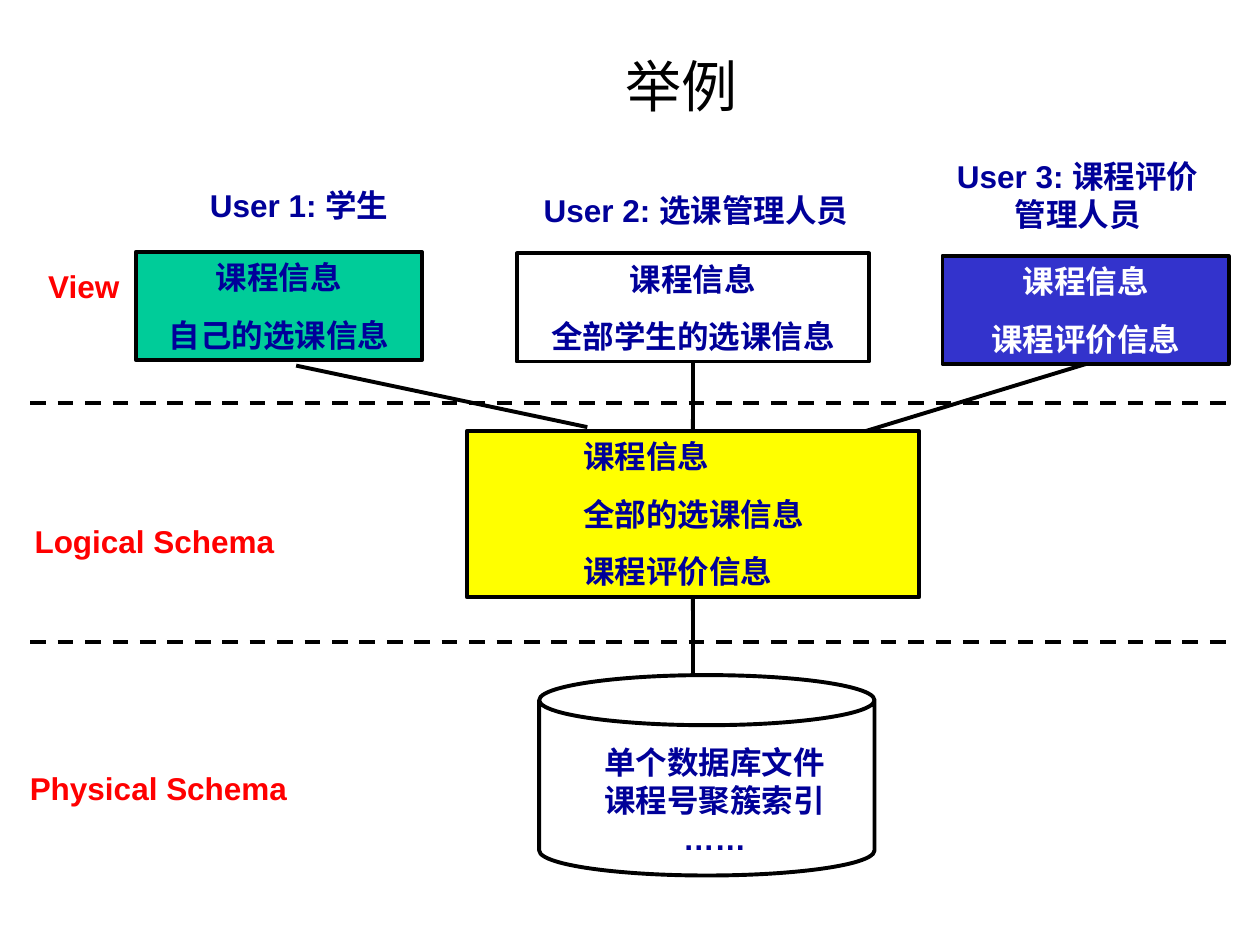
import pptx
import pptx.dml.color
import pptx.enum.dml
import pptx.enum.shapes
import pptx.enum.text
import pptx.oxml.ns
import pptx.util
from lxml import etree

Cm = pptx.util.Cm
Pt = pptx.util.Pt
ALIGN = pptx.enum.text.PP_ALIGN
ANCHOR = pptx.enum.text.MSO_ANCHOR
AUTO_SIZE = pptx.enum.text.MSO_AUTO_SIZE
SHAPE = pptx.enum.shapes.MSO_SHAPE

COLORS = {
    "ink": "000000",
    "navy": "000099",
    "red": "FF0000",
    "white": "FFFFFF",
    "green": "00CC99",
    "blue": "3333CC",
    "yellow": "FFFF00",
}
TOP, LEFT, BOTTOM, RIGHT = range(4)
LINE_WIDTH = Pt(2.25)
VIEW_HEIGHT = 2.18
LABEL_HEIGHT = 1.02


def rgb(color):
    return pptx.dml.color.RGBColor.from_string(COLORS[color])


def write(frame, lines, color="navy", size=18, font="Arial", bold=True,
          align=ALIGN.CENTER, gap=0, indent=0, wrap=True,
          anchor=ANCHOR.TOP, fit=AUTO_SIZE.SHAPE_TO_FIT_TEXT):
    frame_format = {"word_wrap": wrap, "vertical_anchor": anchor, "auto_size": fit}
    for name, value in frame_format.items():
        setattr(frame, name, value)
    font_format = {"name": font, "size": Pt(size), "bold": bold}
    for index, line in enumerate(lines):
        paragraph = frame.paragraphs[0] if index == 0 else frame.add_paragraph()
        paragraph.alignment = align
        if index and gap:
            paragraph.space_before = Pt(gap)
        if indent:
            paragraph._p.get_or_add_pPr().set("marL", str(Cm(indent)))
        run = paragraph.add_run()
        run.text = line
        for name, value in font_format.items():
            setattr(run.font, name, value)
        run.font.color.rgb = rgb(color)


def add_label(slide, place, lines, **text_format):
    label = slide.shapes.add_textbox(*map(Cm, place))
    write(label.text_frame, lines, **text_format)


def add_outlined(slide, kind, place, fill=None):
    outlined = slide.shapes.add_shape(kind, *map(Cm, place))
    outlined.shadow.inherit = False
    if fill:
        outlined.fill.solid()
        outlined.fill.fore_color.rgb = rgb(fill)
    else:
        outlined.fill.background()
    outlined.line.color.rgb = rgb("ink")
    outlined.line.width = LINE_WIDTH
    return outlined


def add_schema_box(slide, place, fill, lines, **text_format):
    box = add_outlined(slide, SHAPE.RECTANGLE, place, fill)
    write(box.text_frame, lines, gap=11.2, **text_format)
    return box


def add_line(slide, start, end, dashed=False):
    line = slide.shapes.add_connector(
        pptx.enum.shapes.MSO_CONNECTOR.STRAIGHT, *map(Cm, start + end))
    line.line.color.rgb = rgb("ink")
    line.line.width = LINE_WIDTH
    if dashed:
        line.line.dash_style = pptx.enum.dml.MSO_LINE.DASH
    etree.SubElement(line._element.spPr, pptx.oxml.ns.qn("a:effectLst"))
    return line


def main():
    presentation = pptx.Presentation()
    presentation.slide_width = Cm(25.4)
    presentation.slide_height = Cm(19.05)
    slide = presentation.slides.add_slide(presentation.slide_layouts[6])

    add_label(slide, (2.9, 0.33, 21.67, 2.18), ["举例"], color="ink", size=32,
              font="Times New Roman", bold=False, anchor=ANCHOR.BOTTOM,
              fit=AUTO_SIZE.NONE)

    add_schema_box(slide, (2.74, 5.08, 5.77, VIEW_HEIGHT), "green",
                   ["课程信息", "自己的选课信息"])
    manager_view = add_schema_box(slide, (10.42, 5.11, 7.1, VIEW_HEIGHT), "white",
                                  ["课程信息", "全部学生的选课信息"])
    logical = add_schema_box(slide, (9.41, 8.69, 9.12, 3.35), "yellow",
                             ["课程信息", "全部的选课信息", "课程评价信息"],
                             align=ALIGN.LEFT, indent=2.1)
    review_view = add_schema_box(slide, (19, 5.16, 5.77, VIEW_HEIGHT), "blue",
                                 ["课程信息", "课程评价信息"], color="white")
    add_outlined(slide, SHAPE.CAN, (10.87, 13.61, 6.76, 4.04))

    add_label(slide, (3.58, 3.63, 4.9, LABEL_HEIGHT), ["User 1: 学生"])
    add_label(slide, (10.44, 3.73, 7.18, LABEL_HEIGHT),
              ["User 2: 选课管理人员"], wrap=False)
    add_label(slide, (18.77, 3.05, 5.91, 1.78),
              ["User 3: 课程评价", "管理人员"], wrap=False)
    add_label(slide, (11.51, 14.86, 5.79, 2.54),
              ["单个数据库文件", "课程号聚簇索引", "……"])

    levels = [
        ("View", 0.61, 5.26, 2.16),
        ("Logical Schema", 0.3, 10.39, 5.63),
        ("Physical Schema", 0.2, 15.37, 5.99),
    ]
    for level, left, top, width in levels:
        add_label(slide, (left, top, width, LABEL_HEIGHT), [level],
                  color="red", wrap=False)

    for height in (12.95, 8.13):
        add_line(slide, (0.61, height), (24.79, height), dashed=True)

    to_storage = add_line(slide, (13.97, 12.04), (13.97, 13.61))
    to_storage.begin_connect(logical, BOTTOM)
    add_line(slide, (11.84, 8.61), (5.97, 7.37))
    to_manager = add_line(slide, (13.97, 8.69), (13.97, 7.29))
    to_manager.begin_connect(logical, TOP)
    to_manager.end_connect(manager_view, BOTTOM)
    to_review = add_line(slide, (17.45, 8.69), (21.88, 7.34))
    to_review.end_connect(review_view, BOTTOM)

    presentation.save("out.pptx")


if __name__ == "__main__":
    main()
